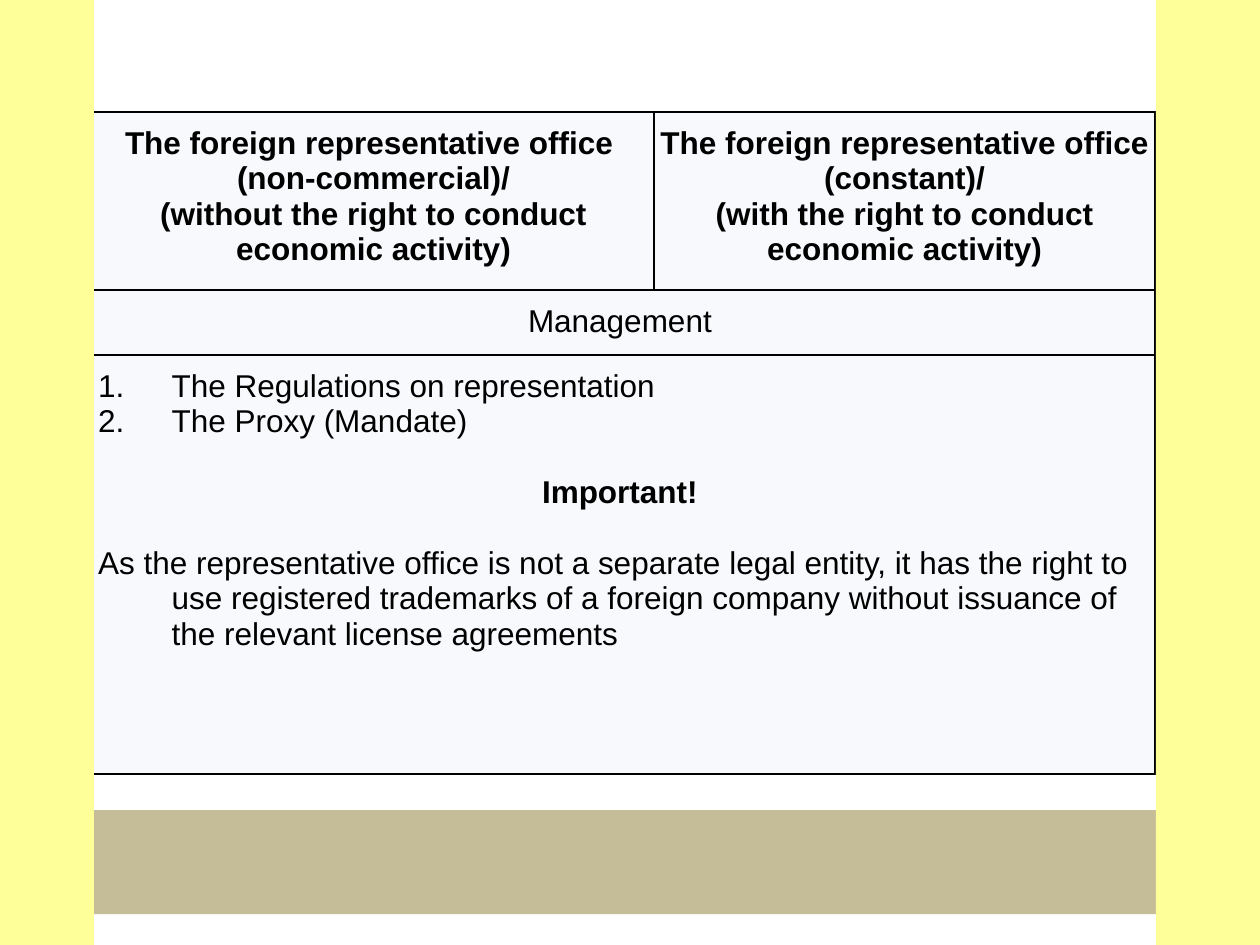
from lxml.etree import SubElement
from pptx import Presentation
from pptx.dml.color import RGBColor
from pptx.enum.shapes import MSO_SHAPE
from pptx.enum.text import PP_ALIGN
from pptx.oxml.ns import qn
from pptx.util import Cm, Pt

BLACK = RGBColor(0x00, 0x00, 0x00)
CELL_TINT = RGBColor(0xF7, 0xF9, 0xFC)
TAN = RGBColor(0xC4, 0xBD, 0x97)
YELLOW = RGBColor(0xFF, 0xFF, 0x99)


def add_band(left, top, width, height, color, rotation=0):
    band = slide.shapes.add_shape(
        MSO_SHAPE.RECTANGLE, Cm(left), Cm(top), Cm(width), Cm(height))
    band.rotation = rotation
    band.shadow.inherit = False
    band.fill.solid()
    band.fill.fore_color.rgb = color
    band.line.fill.background()


def write_paragraph(cell, text, bold=False, align=PP_ALIGN.CENTER):
    """Fill the cell's first paragraph, or add one after existing text."""
    frame = cell.text_frame
    paragraph = frame.add_paragraph() if frame.text else frame.paragraphs[0]
    paragraph.alignment = align
    run = paragraph.add_run()
    run.text = text
    run.font.name = "Arial"
    run.font.size = Pt(18)
    run.font.bold = bold
    run.font.color.rgb = BLACK
    return paragraph


prs = Presentation()
prs.slide_width, prs.slide_height = Cm(25.4), Cm(19.05)
slide = prs.slides.add_slide(prs.slide_layouts[6])

# Footer band
add_band(-1.75, 16.33, 28.6, 2.1, TAN)

# Table grid
offices = slide.shapes.add_table(
    3, 2, Cm(1.88), Cm(2.26), Cm(21.41), Cm(13.35)).table
offices.first_row = False
offices.horz_banding = False
for column, width in zip(offices.columns, (11.3, 10.11)):
    column.width = Cm(width)
for row, height in zip(offices.rows, (3.59, 1.3, 8.46)):
    row.height = Cm(height)

# Cell borders, fill and margins
for cell in offices.iter_cells():
    cell.margin_left = cell.margin_right = Cm(0.1)
    cell.margin_top = cell.margin_bottom = Cm(0.28)
    properties = cell._tc.get_or_add_tcPr()
    for side in ("a:lnL", "a:lnR", "a:lnT", "a:lnB"):
        border = SubElement(properties, qn(side), w=str(Pt(1.5)))
        border_fill = SubElement(border, qn("a:solidFill"))
        SubElement(border_fill, qn("a:srgbClr"), val=str(BLACK))
    cell.fill.solid()
    cell.fill.fore_color.rgb = CELL_TINT
for row_index in (1, 2):
    offices.cell(row_index, 0).merge(offices.cell(row_index, 1))

# Column headings
headings = (
    ("The foreign representative office ", "(non-commercial)/",
     "(without the right to conduct economic activity)"),
    ("The foreign representative office (constant)/",
     "(with the right to conduct economic activity)"),
)
for column_index, lines in enumerate(headings):
    for line in lines:
        write_paragraph(offices.cell(0, column_index), line, bold=True)

# Management section
write_paragraph(offices.cell(1, 0), "Management ")
management = offices.cell(2, 0)
documents = [
    write_paragraph(management, text, align=PP_ALIGN.LEFT)
    for text in ("The Regulations on representation", "The Proxy (Mandate)")
]
important = write_paragraph(management, "Important! ", bold=True)
trademark_note = write_paragraph(
    management,
    "As the representative office is not a separate legal entity, it has the "
    "right to use registered trademarks of a foreign company without issuance "
    "of the relevant license agreements",
    align=PP_ALIGN.LEFT)
for paragraph in (important, trademark_note):
    paragraph.space_before = Pt(20.5)

# Hanging indents and numbering
for paragraph in (*documents, important, trademark_note):
    layout = paragraph._p.get_or_add_pPr()
    layout.set("marL", str(Cm(1.48)))
    layout.set("indent", str(-Cm(1.48)))
    if paragraph in documents:
        SubElement(layout, qn("a:buFont"), typeface="Arial")
        SubElement(layout, qn("a:buAutoNum"), type="arabicPeriod")
    else:
        SubElement(layout, qn("a:buNone"))

# Side bands
for left, top in ((-13.31, 7.32), (11.3, 8.13)):
    add_band(left, top, 27.2, 3.2, YELLOW, rotation=90)

prs.save("out.pptx")
